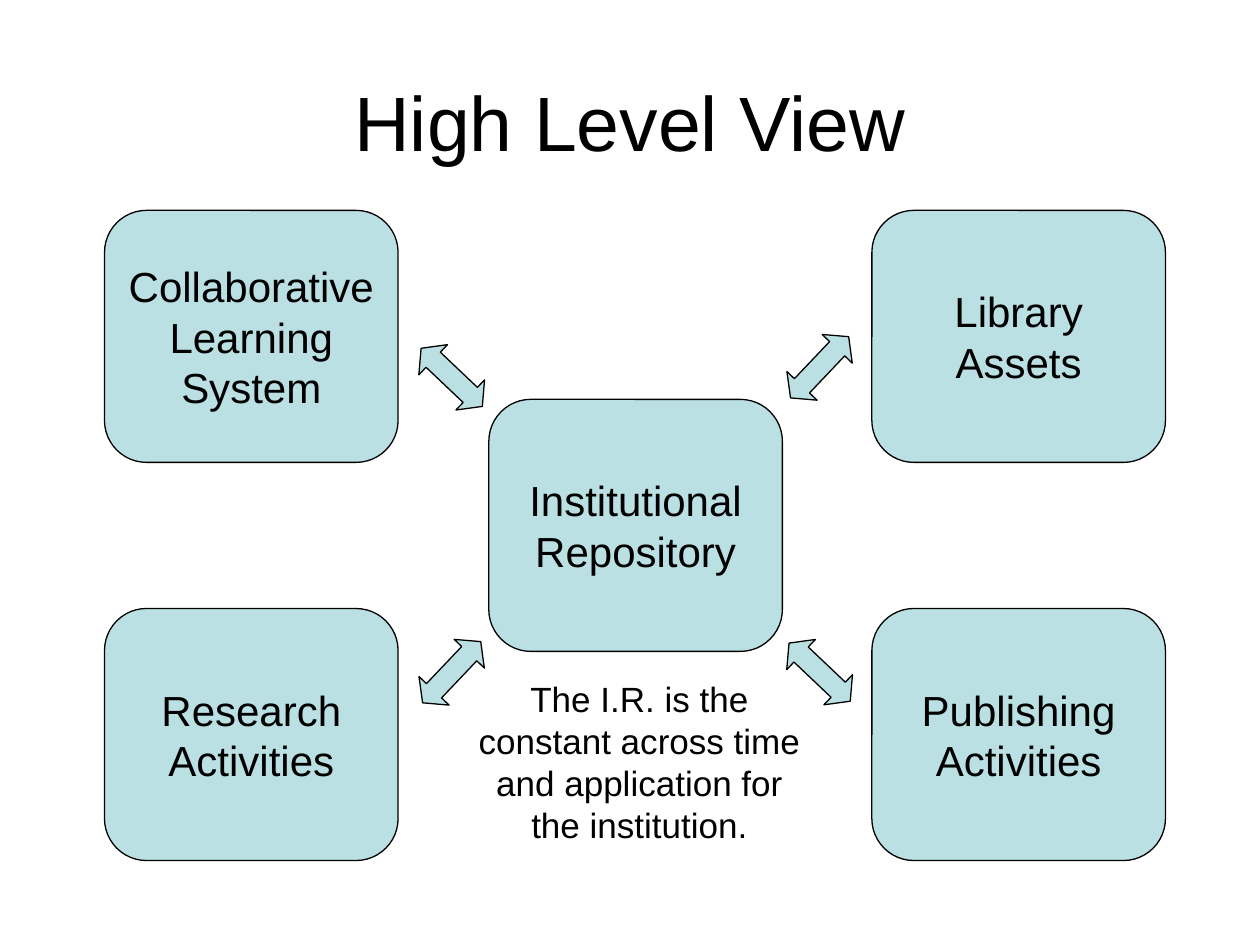
from dataclasses import dataclass

from pptx import Presentation
from pptx.dml.color import RGBColor
from pptx.enum import shapes, text
from pptx.util import Inches, Pt


@dataclass(frozen=True)
class Theme:
    """Colours, font and type sizes of the slide."""
    ink: RGBColor = RGBColor(0, 0, 0)
    panel: RGBColor = RGBColor(0xBB, 0xE0, 0xE3)
    font: str = "Arial"
    title: int = 44
    label: int = 24
    note: int = 20
    outline: float = 0.75


THEME = Theme()
LEFT, CENTER, RIGHT = 0.83, 3.88, 6.92
UPPER, MIDDLE, LOWER = 1.67, 3.17, 4.83
SYSTEMS = [
    ("Institutional\nRepository", CENTER, MIDDLE),
    ("Collaborative\nLearning\nSystem", LEFT, UPPER),
    ("Library\nAssets", RIGHT, UPPER),
    ("Publishing\nActivities", RIGHT, LOWER),
    ("Research\nActivities", LEFT, LOWER),
]
FALLING, RISING = 43.5, 313.5
EXCHANGES = [
    (3.25, 2.83, FALLING),
    (3.25, 5.17, RISING),
    (6.17, 5.17, FALLING),
    (6.17, 2.75, RISING),
]


def write(frame, wording, size, anchor, wrap):
    """Fill a text frame with centred wording in the theme font."""
    frame.text = wording
    frame.word_wrap = wrap
    frame.vertical_anchor = anchor
    for paragraph in frame.paragraphs:
        paragraph.alignment = text.PP_ALIGN.CENTER
        for run in paragraph.runs:
            run.font.name = THEME.font
            run.font.size = Pt(size)
            run.font.color.rgb = THEME.ink


def add_panel(slide, preset, left, top, width, height):
    """Add a preset shape with the shared fill and outline."""
    panel = slide.shapes.add_shape(
        preset, Inches(left), Inches(top), Inches(width), Inches(height))
    panel.shadow.inherit = False
    panel.fill.solid()
    panel.fill.fore_color.rgb = THEME.panel
    panel.line.color.rgb = THEME.ink
    panel.line.width = Pt(THEME.outline)
    return panel


def add_system(slide, label, left, top):
    """Add a rounded box naming one system."""
    system = add_panel(slide, shapes.MSO_SHAPE.ROUNDED_RECTANGLE, left, top, 2.33, 2)
    write(system.text_frame, label, THEME.label, text.MSO_ANCHOR.MIDDLE, False)


def add_exchange(slide, left, top, angle):
    """Add a tilted two-way arrow between two systems."""
    exchange = add_panel(slide, shapes.MSO_SHAPE.LEFT_RIGHT_ARROW, left, top, 0.67, 0.33)
    exchange.adjustments[1] = 0.4
    exchange.rotation = angle


def add_title(slide, wording):
    """Place and format the title placeholder."""
    title = slide.shapes.title
    title.left, title.top = Inches(0.75), Inches(0.33)
    title.width, title.height = Inches(8.5), Inches(1.25)
    write(title.text_frame, wording, THEME.title, text.MSO_ANCHOR.MIDDLE, True)


def add_note(slide, wording):
    """Add the remark below the repository."""
    note = slide.shapes.add_textbox(Inches(3.67), Inches(5.33), Inches(2.81), Inches(1.44))
    write(note.text_frame, wording, THEME.note, text.MSO_ANCHOR.TOP, True)


def main():
    """Build the slide and save it."""
    deck = Presentation()
    deck.slide_width, deck.slide_height = Inches(10), Inches(7.5)
    slide = deck.slides.add_slide(deck.slide_layouts.get_by_name("Title Only"))
    add_title(slide, "High Level View")
    for system in SYSTEMS:
        add_system(slide, *system)
    for exchange in EXCHANGES:
        add_exchange(slide, *exchange)
    add_note(slide, "The I.R. is the constant across time and application for the institution.")
    deck.save("out.pptx")


if __name__ == "__main__":
    main()
